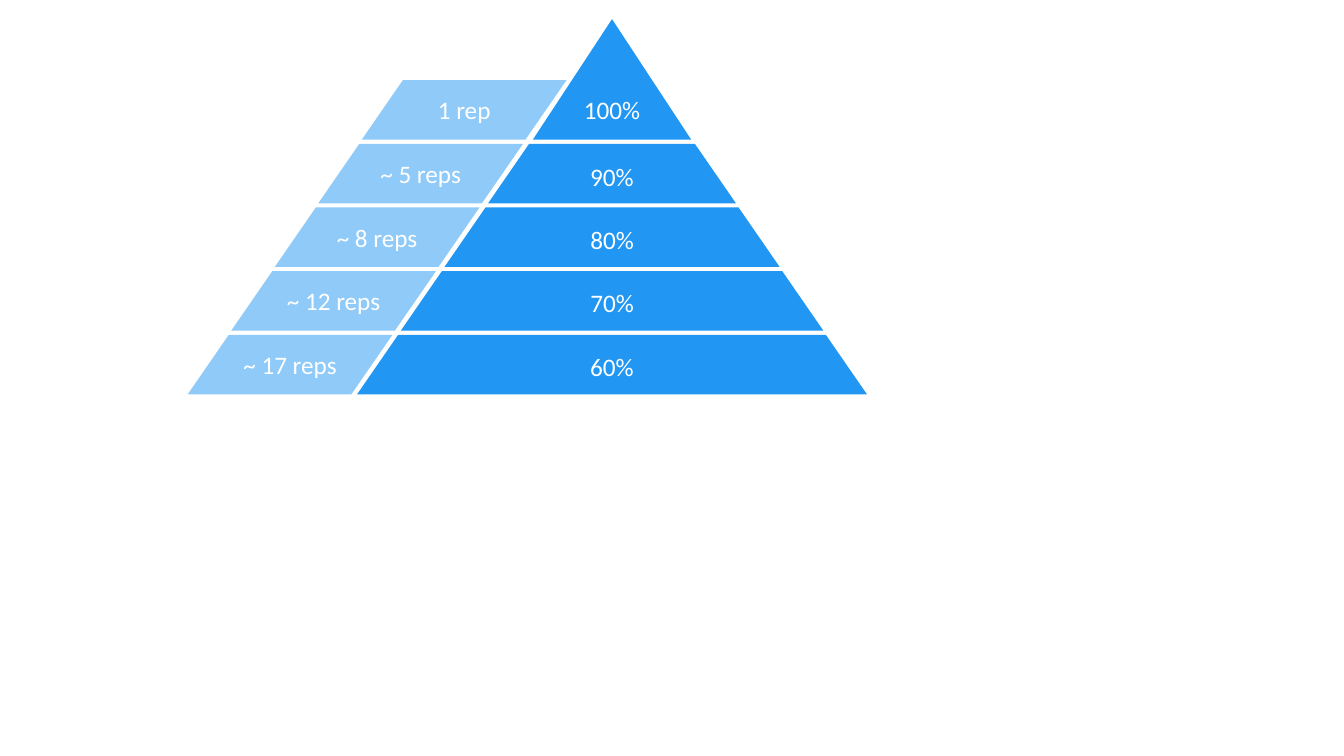
"""Build a slide with a strength pyramid: load percentages beside repetitions."""
from dataclasses import dataclass

from lxml import etree
from pptx import Presentation
from pptx.dml.color import RGBColor
from pptx.enum.shapes import MSO_SHAPE
from pptx.enum.text import MSO_ANCHOR, PP_ALIGN
from pptx.oxml.ns import qn
from pptx.slide import Slide
from pptx.util import Pt

TRIANGLE = MSO_SHAPE.ISOSCELES_TRIANGLE
TRAPEZOID = MSO_SHAPE.TRAPEZOID
PARALLELOGRAM = MSO_SHAPE.PARALLELOGRAM
MIDDLE = MSO_ANCHOR.MIDDLE
CENTER = PP_ALIGN.CENTER

BLUE = RGBColor(0x21, 0x96, 0xF3)
WHITE = RGBColor(0xFF, 0xFF, 0xFF)
FONT = "Calibri"
FONT_SIZE = 18

CENTER_X = 437.2
FIRST_TOP = 57.2
ROW_PITCH = 45.5
ROW_HEIGHT = 42.5
SLANT = 0.69

PEAK_TOP = 13.7
PEAK_WIDTH = 113
FIRST_TIER_WIDTH = 177
TIER_GROWTH = 62.4

REPS_LEFT = 258.5
REPS_SHIFT = 31.1
REPS_WIDTH = 146.2


@dataclass(frozen=True)
class Level:
    """One row of the pyramid."""

    load: str
    reps: str


@dataclass(frozen=True)
class Block:
    """A filled shape with a centred label, measured in points."""

    preset: MSO_SHAPE
    label: str
    left: float
    top: float
    width: float
    height: float
    opacity: int = 100


LEVELS = (
    Level("100%", "1 rep"),
    Level("90%", "~ 5 reps"),
    Level("80%", "~ 8 reps"),
    Level("70%", "~ 12 reps"),
    Level("60%", "~ 17 reps"),
)


def load_block(row: int, level: Level) -> Block:
    """Return the pyramid tier of a row, the first one being the peak."""
    top = FIRST_TOP + row * ROW_PITCH
    if row == 0:
        return Block(TRIANGLE, level.load, CENTER_X - PEAK_WIDTH / 2, PEAK_TOP,
                     PEAK_WIDTH, top + ROW_HEIGHT - PEAK_TOP)
    width = FIRST_TIER_WIDTH + (row - 1) * TIER_GROWTH
    return Block(TRAPEZOID, level.load, CENTER_X - width / 2, top, width, ROW_HEIGHT)


def reps_block(row: int, level: Level) -> Block:
    """Return the slanted repetition band left of a tier."""
    return Block(PARALLELOGRAM, level.reps, REPS_LEFT - row * REPS_SHIFT,
                 FIRST_TOP + row * ROW_PITCH, REPS_WIDTH, ROW_HEIGHT, opacity=50)


def draw_block(page: Slide, block: Block) -> None:
    """Draw a block on the page."""
    box = page.shapes.add_shape(block.preset, Pt(block.left), Pt(block.top),
                                Pt(block.width), Pt(block.height))
    box.shadow.inherit = False
    box.line.fill.background()
    box.fill.solid()
    box.fill.fore_color.rgb = BLUE
    if block.opacity < 100:
        color = box.element.spPr.find(qn("a:solidFill")).find(qn("a:srgbClr"))
        etree.SubElement(color, qn("a:alpha")).set("val", str(block.opacity * 1000))
    frame = box.text_frame
    frame.vertical_anchor = MIDDLE
    frame.word_wrap = True
    if block.preset == TRIANGLE:
        frame.margin_left = frame.margin_right = Pt(0)
    else:
        box.adjustments[0] = SLANT
    para = frame.paragraphs[0]
    para.text = block.label
    para.alignment = CENTER
    para.font.name = FONT
    para.font.size = Pt(FONT_SIZE)
    para.font.color.rgb = WHITE


def main() -> None:
    """Create the deck and save it."""
    deck = Presentation()
    deck.slide_width, deck.slide_height = Pt(960), Pt(540)
    page = deck.slides.add_slide(deck.slide_layouts[6])
    for make_block in (load_block, reps_block):
        for row, level in enumerate(LEVELS):
            draw_block(page, make_block(row, level))
    deck.save("out.pptx")


main()
